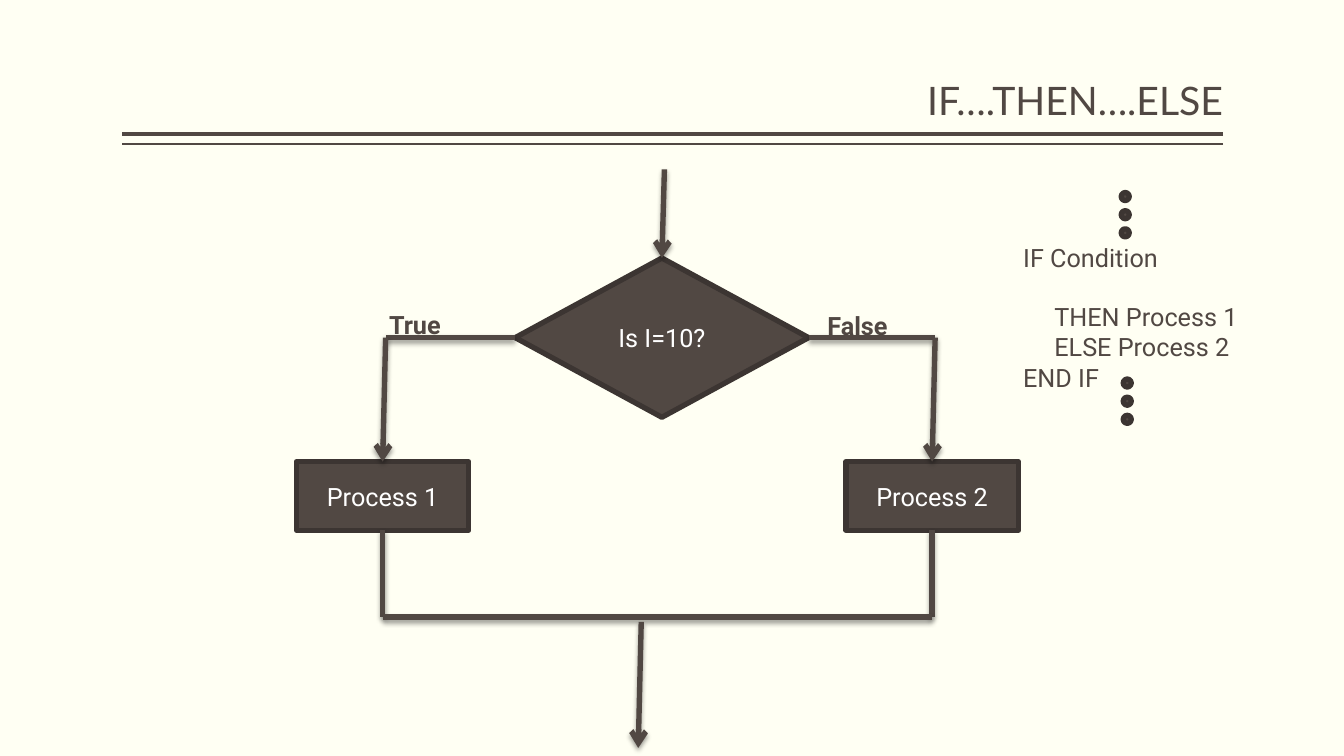
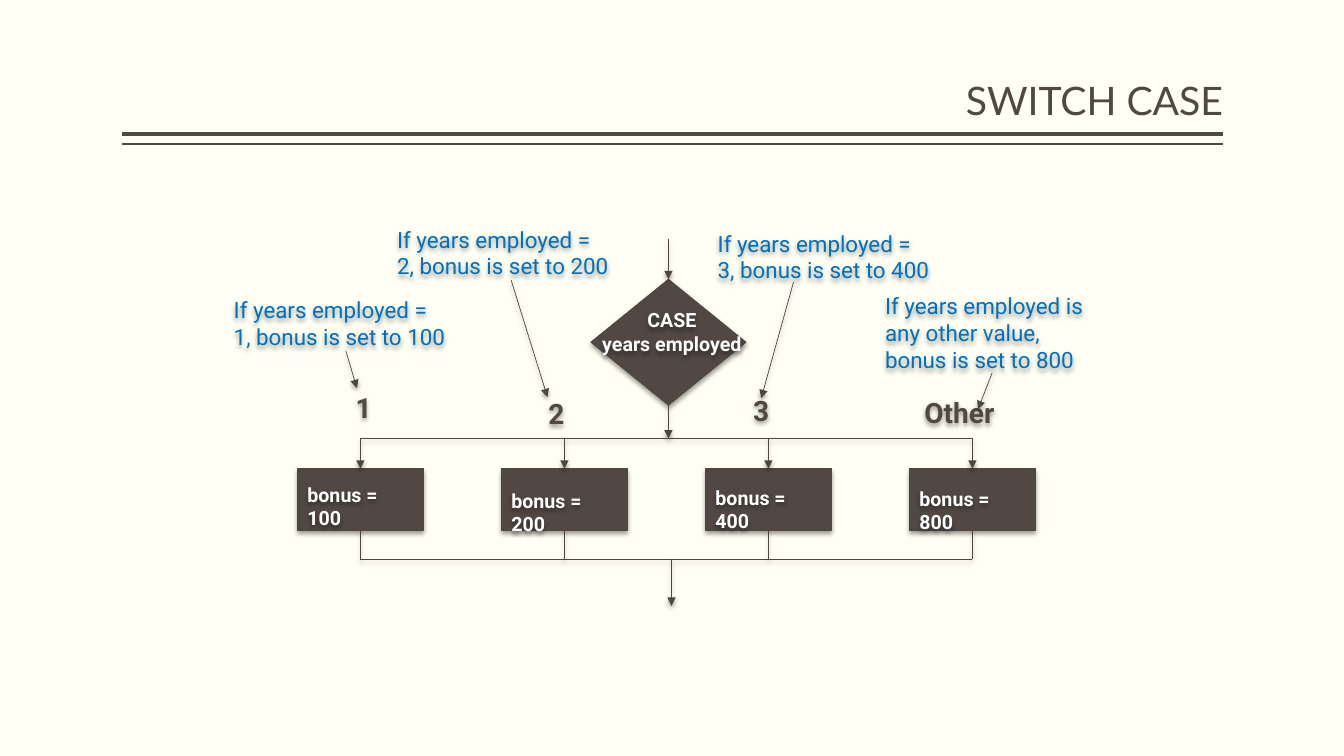
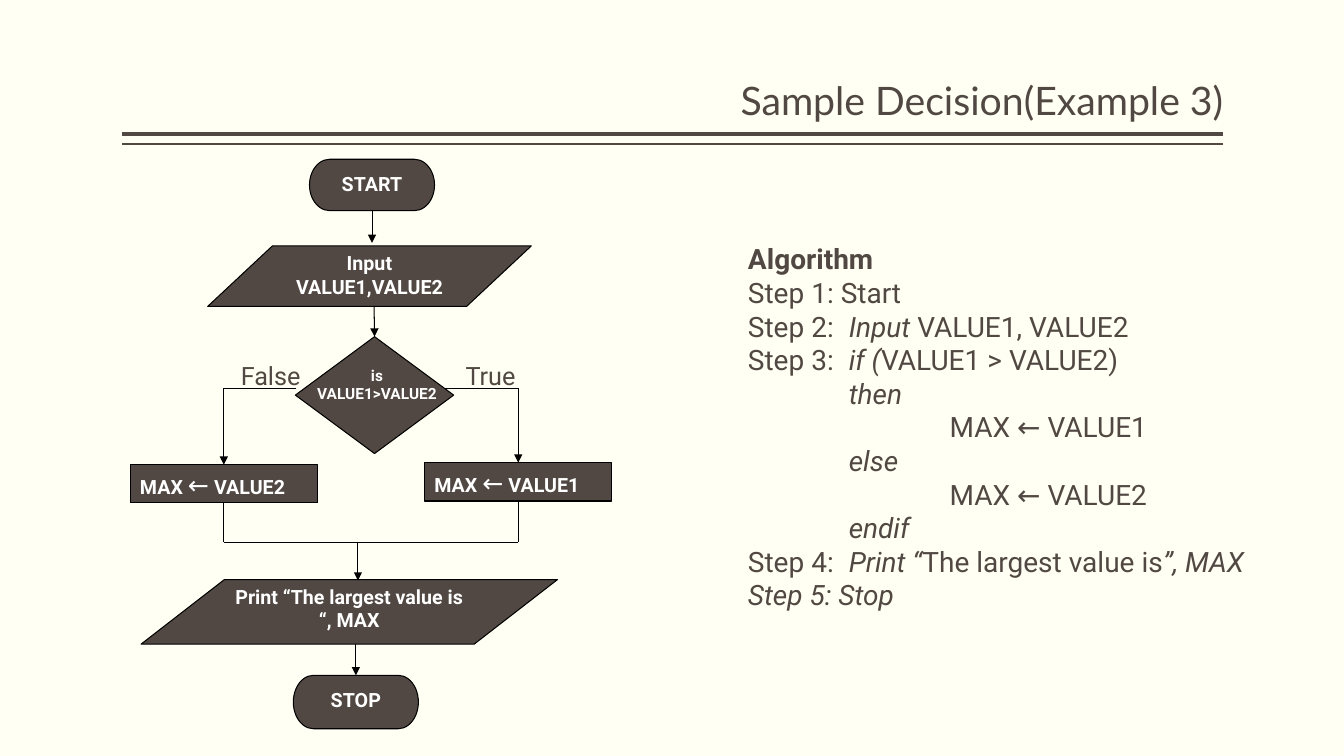
from lxml.etree import SubElement
from pptx import Presentation
from pptx.dml.color import RGBColor
from pptx.enum.shapes import MSO_CONNECTOR, MSO_SHAPE as Kind
from pptx.enum.text import MSO_ANCHOR as Anchor, PP_ALIGN as Align
from pptx.oxml.ns import qn
from pptx.util import Inches, Pt

# Shared look
WIDTH, HEIGHT = 13.33, 7.5
PAPER, BROWN, EDGE, THIN_EDGE = "FFFFF3", "514843", "3C3532", "504641"
WHITE, BLUE, BLACK = "FFFFFF", "0070C0", "000000"
TITLE_FONT, BODY_FONT = "Lato", "Roboto"
LEFT, RIGHT = 1.21, 12.13
TITLE_RULES = [(1.33, 3), (1.43, 1)]  # height on page, weight
TOP, WEST, BOTTOM, EAST = range(4)  # connection sites

# Content: IF THEN ELSE
BRANCHES = [  # label, label place, box text, box left, elbow on the diamond
    ("True", (3.53, 3.02), "Process 1", 2.94, WEST),
    ("False", (7.92, 3.03), "Process 2", 8.39, EAST),
]
PSEUDOCODE = [  # indent, runs, space before
    (0, ["IF Condition"], 0),
    (0.31, ["THEN Process 1"], 21),
    (0.31, ["ELSE Process 2"], 0),
    (0, ["END IF"], 0),
]
DOT_COLUMNS = [(11.12, 1.91), (11.14, 3.76)]

# Content: SWITCH CASE
CASES = [  # case, its place, bonus, bonus top, note, note place, note arrow
    ("1", (3.43, 3.82), "bonus = 100", 4.74,
     "If years employed = 1, bonus is set to 100", (2.22, 2.89), (3.43, 3.48), (3.54, 3.85)),
    ("2", (5.34, 3.88), "bonus = 200", 4.8,
     "If years employed = 2, bonus is set to 200", (3.84, 2.19), (5.07, 2.78), (5.43, 3.94)),
    ("3", (7.37, 3.85), "bonus = 400", 4.77,
     "If years employed = 3, bonus is set to 400", (7.02, 2.23), (7.87, 2.8), (7.55, 3.95)),
    ("Other", (9.07, 3.87), "bonus = 800", 4.78,
     "If years employed is any other value, bonus is set to 800", (8.68, 2.85),
     (9.84, 3.7), (9.7, 4.06)),
]

# Content: sample decision
ITALIC, BOLD = {"italic": True}, {"bold": True}
ARROW = ("←", {"size": 18, "bold": False})
ALGORITHM = [  # indent, runs
    (0, [("Algorithm", BOLD)]),
    (0, ["Step 1: Start"]),
    (0, ["Step 2:\t", ("Input ", ITALIC), "VALUE1, VALUE2"]),
    (0, ["Step 3:\t", ("if (", ITALIC), "VALUE1 > VALUE2)"]),
    (1, [("then", ITALIC)]),
    (2, ["MAX ← VALUE1"]),
    (1, [("else", ITALIC)]),
    (2, ["MAX ← VALUE2"]),
    (1, [("endif", ITALIC)]),
    (0, ["Step 4:\t", ("Print “", ITALIC), "The largest value is", ("”, MAX", ITALIC)]),
    (0, [("Step 5: Stop", ITALIC)]),
]
FLOW = {  # name: kind, place, lines, alignment
    "start": (Kind.FLOWCHART_TERMINATOR, (3.07, 1.58, 1.24, 0.51), ["START"], Align.CENTER),
    "input": (Kind.FLOWCHART_DATA, (2.06, 2.44, 3.21, 0.6), ["Input", "VALUE1,VALUE2"],
              Align.CENTER),
    "test": (Kind.FLOWCHART_DECISION, (2.93, 3.34, 1.57, 1.16), [], Align.CENTER),
    "false": (Kind.FLOWCHART_PROCESS, (1.29, 4.61, 1.86, 0.38),
              [(0, ["MAX ", ARROW, " VALUE2"])], Align.LEFT),
    "true": (Kind.FLOWCHART_PROCESS, (4.21, 4.59, 1.86, 0.38),
             [(0, ["MAX ", ARROW, " VALUE1"])], Align.LEFT),
    "print": (Kind.FLOWCHART_DATA, (1.4, 5.75, 4.13, 0.64),
              ["Print “The largest value is “, MAX"], Align.CENTER),
    "stop": (Kind.FLOWCHART_TERMINATOR, (2.91, 6.7, 1.24, 0.53), ["STOP"], Align.CENTER),
}


def rgb(value):
    return RGBColor.from_string(value)


def set_effects(item, shadow):
    """Replace the theme shadow by none, or by a soft one straight below."""
    effects = SubElement(item._element.spPr, qn("a:effectLst"))
    if shadow:
        outer = SubElement(effects, qn("a:outerShdw"), blurRad=str(Pt(3.5)),
                           dist=str(Pt(2)), dir="5400000", rotWithShape="0")
        color = SubElement(outer, qn("a:srgbClr"), val=BLACK)
        SubElement(color, qn("a:alpha"), val="38000")


def write(box, lines, size=18, color=BROWN, bold=False, align=Align.LEFT,
          anchor=Anchor.TOP, font=BODY_FONT):
    """Each line is a string or (indent, runs[, space before])."""
    frame = box.text_frame
    frame.word_wrap = True
    frame.vertical_anchor = anchor
    for number, line in enumerate(lines):
        indent, runs, *before = (0, [line]) if isinstance(line, str) else line
        para = frame.add_paragraph() if number else frame.paragraphs[0]
        para.alignment = align
        if indent:
            para._p.get_or_add_pPr().set("marL", str(Inches(indent)))
        if before and before[0]:
            para.space_before = Pt(before[0])
        for run in runs:
            words, change = (run, {}) if isinstance(run, str) else run
            span = para.add_run()
            span.text = words
            span.font.name = font
            span.font.size = Pt(change.get("size", size))
            span.font.bold = change.get("bold", bold)
            span.font.italic = change.get("italic", False)
            span.font.color.rgb = rgb(color)


def add_text(page, place, lines, shadow=False, **style):
    box = page.shapes.add_textbox(*map(Inches, place))
    write(box, lines, **style)
    if shadow:
        set_effects(box, True)
    return box


def add_box(page, kind, place, edge, weight, lines=(), shadow=False, **style):
    box = page.shapes.add_shape(kind, *map(Inches, place))
    box.fill.solid()
    box.fill.fore_color.rgb = rgb(BROWN)
    box.line.color.rgb = rgb(edge)
    box.line.width = Pt(weight)
    set_effects(box, shadow)
    write(box, lines, color=WHITE, **style)
    return box


def side(box, site):
    """Middle of a side, in inches."""
    across, down = [(0.5, 0), (0, 0.5), (0.5, 1), (1, 0.5)][site]
    return ((box.left + box.width * across) / Inches(1),
            (box.top + box.height * down) / Inches(1))


def add_line(page, start, end, color, weight, head=None, shadow=False):
    """Each end is a point (x, y) or a joint (box, site)."""
    joined = [not isinstance(tip[0], (int, float)) for tip in (start, end)]
    points = [side(*tip) if glue else tip for tip, glue in zip((start, end), joined)]
    line = page.shapes.add_connector(MSO_CONNECTOR.STRAIGHT,
                                     *[Inches(v) for point in points for v in point])
    if joined[0]:
        line.begin_connect(*start)
    if joined[1]:
        line.end_connect(*end)
    line.line.color.rgb = rgb(color)
    line.line.width = Pt(weight)
    if head:
        SubElement(line.line._get_or_add_ln(), qn("a:tailEnd"), type=head)
    set_effects(line, shadow)


def start_page(deck, title):
    page = deck.slides.add_slide(deck.slide_layouts[6])
    page.background.fill.solid()
    page.background.fill.fore_color.rgb = rgb(PAPER)
    for y, weight in TITLE_RULES:
        add_line(page, (RIGHT, y), (LEFT, y), BROWN, weight)
    box = add_text(page, (LEFT, 0.08, RIGHT - LEFT, 1.2), [title], size=28,
                   font=TITLE_FONT, align=Align.RIGHT, anchor=Anchor.BOTTOM)
    box.text_frame.margin_left = box.text_frame.margin_right = 0
    box.text_frame.paragraphs[0].line_spacing = 0.9
    return page


def build_if(deck):
    page = start_page(deck, "IF….THEN….ELSE")
    rail = 6.12

    def line(start, end, head=None):
        add_line(page, start, end, BROWN, 3.82, head, shadow=True)

    def block(kind, place, lines=()):
        return add_box(page, kind, place, EDGE, 3.78, lines,
                       align=Align.CENTER, anchor=Anchor.MIDDLE)

    diamond = block(Kind.FLOWCHART_DECISION, (5.11, 2.56, 2.91, 1.58), ["Is I=10?"])
    line((6.59, 1.68), (diamond, TOP), "arrow")
    # Branches, each from the diamond down to the rail
    feet = []
    for label, spot, words, left, elbow in BRANCHES:
        add_text(page, (*spot, 1.17, 0.4), [label], bold=True, align=Align.CENTER)
        process = block(Kind.RECTANGLE, (left, 4.58, 1.71, 0.68), [words])
        x = side(process, TOP)[0]
        corner = (x + 0.03, side(diamond, elbow)[1])
        line((diamond, elbow), corner)
        line(corner, (process, TOP), "arrow")
        line((process, BOTTOM), (x, rail))
        feet.append((x, rail))
    line(*feet)
    line((6.36, 6.17), (6.33, 7.42), "arrow")
    # Pseudocode between two columns of dots
    add_text(page, (10.05, 2.35, 2.97, 1.92), PSEUDOCODE)
    for x, y in DOT_COLUMNS:
        for row in range(3):
            block(Kind.OVAL, (x, y + 0.18 * row, 0.08, 0.08))


def build_switch(deck):
    page = start_page(deck, "SWITCH CASE")
    upper, lower = 4.35, 5.55
    first, pitch, width = 2.95, 6.07 / 3, 1.25

    def line(start, end, head=None):
        add_line(page, start, end, THIN_EDGE, 0.5, head, shadow=True)

    def block(kind, place):
        return add_box(page, kind, place, THIN_EDGE, 0.5, shadow=True)

    def text(place, lines, **style):
        add_text(page, place, lines, shadow=True, **style)

    diamond = block(Kind.FLOWCHART_DECISION, (5.86, 2.77, 1.54, 1.25))
    text((5.65, 3.01, 2.03, 0.57), ["CASE", "years employed"], size=14, color=WHITE,
         bold=True, align=Align.CENTER)
    line((6.63, 2.37), (diamond, TOP), "triangle")
    line((diamond, BOTTOM), (6.63, upper), "triangle")
    # Rails that fork and gather the four cases
    middle = first + width / 2
    for y in (upper, lower):
        line((middle, y), (middle + 3 * pitch, y))
    line((6.66, lower), (6.66, 6.01), "triangle")
    for column, (case, spot, bonus, bonus_top, note, note_spot, tip, end) in enumerate(CASES):
        left = first + column * pitch
        x = left + width / 2
        box = block(Kind.RECTANGLE, (left, 4.65, width, 0.61))
        line((x, upper), (box, TOP), "triangle")
        line((box, BOTTOM), (x, lower))
        text((left, bonus_top, width, 0.57), [bonus], size=14, color=WHITE, bold=True)
        text((*spot, 1.04 if len(case) > 1 else 0.35, 0.43), [case], size=20, bold=True)
        text((*note_spot, 2.33, 0.64), [note], size=16, color=BLUE)
        line(tip, end, "triangle")


def build_sample(deck):
    page = start_page(deck, "Sample Decision(Example 3)")
    add_text(page, (7.32, 2.35, 5.33, 3.8), ALGORITHM, size=20)
    boxes = {name: add_box(page, kind, place, BLACK, 0.75, lines, size=14, bold=True,
                           align=align)
             for name, (kind, place, lines, align) in FLOW.items()}
    add_text(page, (2.56, 3.58, 2.36, 0.64), ["is", "VALUE1>VALUE2"], size=11,
             color=WHITE, bold=True, align=Align.CENTER)

    def line(start, end, head=None):
        add_line(page, start, end, BLACK, 0.75, head)

    # Main path
    line((boxes["start"], BOTTOM), (3.69, 2.41), "triangle")
    line((3.71, 3.04), (boxes["test"], TOP), "triangle")
    line((3.55, 5.38), (3.55, 5.76), "triangle")
    line((3.53, 6.39), (boxes["stop"], TOP), "triangle")
    # Branches
    feet = []
    for name, label, label_x, exit_x in (("false", "False", 2.29, 2.94),
                                         ("true", "True", 4.52, 4.41)):
        box = boxes[name]
        x = side(box, TOP)[0]
        line((exit_x, 3.85), (x, 3.85))
        line((x, 3.85), (box, TOP), "triangle")
        line((box, BOTTOM), (x, 5.38))
        feet.append((x, 5.38))
        add_text(page, (label_x, 3.53, 0.97, 0.4), [label])
    line(*feet)


def main():
    deck = Presentation()
    deck.slide_width, deck.slide_height = Inches(WIDTH), Inches(HEIGHT)
    for build in (build_if, build_switch, build_sample):
        build(deck)
    deck.save("out.pptx")


if __name__ == "__main__":
    main()
